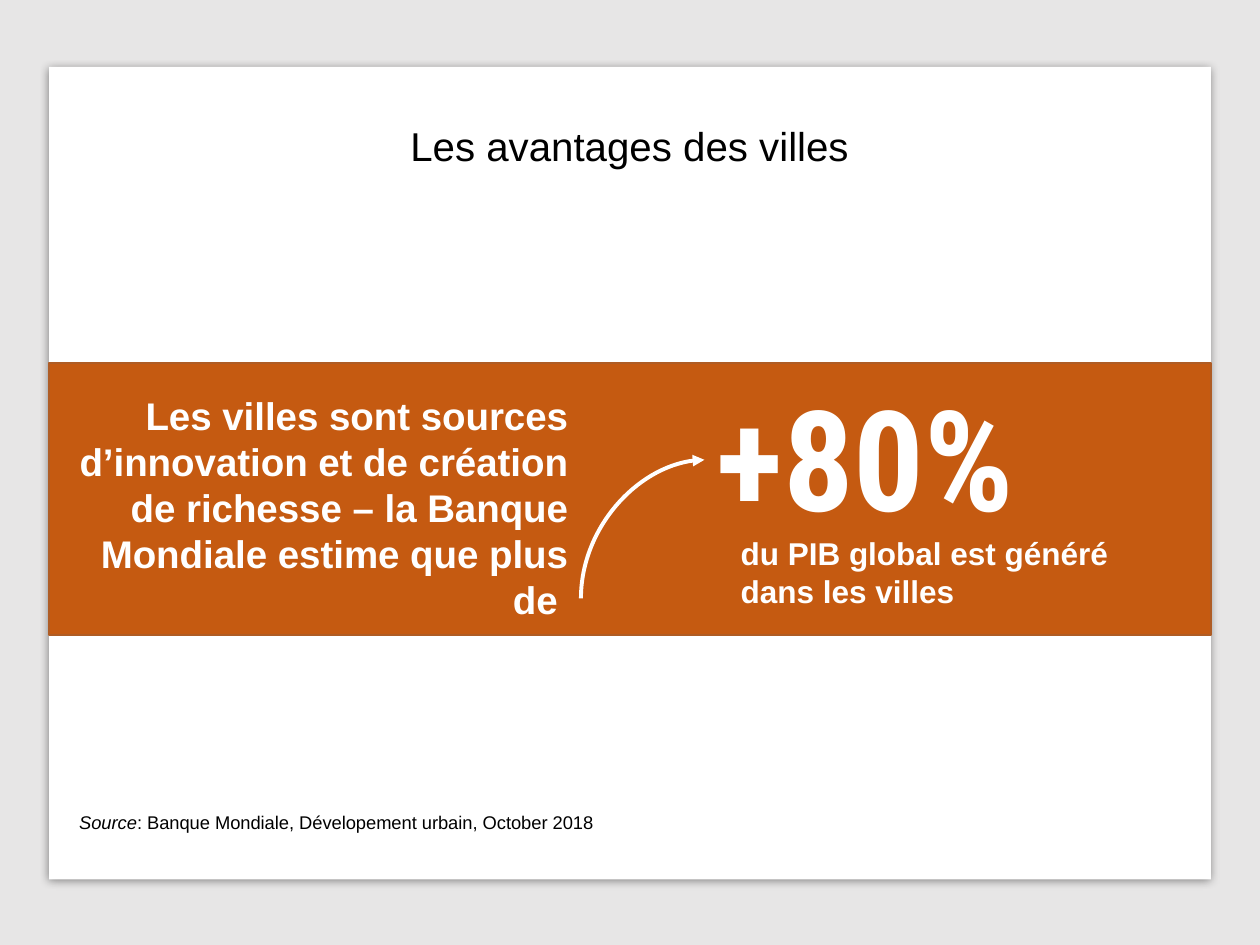
import pptx
import pptx.util
import pptx.dml.color
import pptx.enum.shapes
import pptx.enum.text
import pptx.oxml
import pptx.oxml.ns
from pptx.util import Inches, Pt

PP = pptx.enum.text.PP_ALIGN
NS = pptx.oxml.ns.nsdecls("a")
WHITE, BLACK = "FFFFFF", "000000"

PANELS = {
    "backdrop": ((0, 0, 10, 7.5), "E7E6E6", None),
    "page": ((0.39, 0.53, 9.22, 6.45), WHITE, None),
    "band": ((0.39, 2.88, 9.22, 2.16), "C55A11", "AF5C24"),
}
TEXTS = [
    ((3.02, 0.91, 3.96, 0.49), ["Les avantages des villes"], 23, "Arial", BLACK, False, PP.CENTER, False),
    ((0.28, 3.06, 4.33, 1.95),
     ["Les villes sont sources d’innovation et de création de richesse – la Banque Mondiale estime que plus de "],
     22, "Arial", WHITE, True, PP.RIGHT, True),
    ((5.59, 2.9, 3.39, 1.45), ["+80%"], 80, "Roboto Condensed", WHITE, True, PP.LEFT, True),
    ((5.78, 4.19, 3.39, 0.71), ["du PIB global est généré dans les villes"], 18, "Arial", WHITE, True, PP.LEFT, True),
    ((0.53, 6.39, 6.77, 0.29), ["Source", ": Banque Mondiale, Dévelopement urbain, October 2018"],
     10.5, "Arial", BLACK, False, PP.LEFT, True),
]
ARROW = (5.65, 4.69, 4.55, 3.71)
SHADOW = (
    f'<a:effectLst {NS}><a:outerShdw blurRad="{Pt(5)}" dist="{Pt(1.4)}" dir="5400000" algn="t" rotWithShape="0">'
    '<a:srgbClr val="000000"><a:alpha val="43000"/></a:srgbClr></a:outerShdw></a:effectLst>'
)


def rgb(value):
    return pptx.dml.color.RGBColor.from_string(value)


def add_panel(s, box, fill, line):
    sp = s.shapes.add_shape(pptx.enum.shapes.MSO_SHAPE.RECTANGLE, *map(Inches, box))
    sp.shadow.inherit = False
    sp.fill.solid()
    sp.fill.fore_color.rgb = rgb(fill)
    if line:
        sp.line.color.rgb = rgb(line)
        sp.line.width = Pt(1)
    else:
        sp.line.fill.background()
    return sp


def add_text(s, box, parts, size, font, color, bold, align, wrap):
    tf = s.shapes.add_textbox(*map(Inches, box)).text_frame
    tf.word_wrap = wrap
    tf.auto_size = pptx.enum.text.MSO_AUTO_SIZE.SHAPE_TO_FIT_TEXT
    p = tf.paragraphs[0]
    p.alignment = align
    p.font.size, p.font.name, p.font.bold = Pt(size), font, bold
    p.font.color.rgb = rgb(color)
    for part in parts:
        r = p.add_run()
        r.text = part
        if part == "Source":
            r.font.italic = True


def add_arrow(s, ends):
    cn = s.shapes.add_connector(pptx.enum.shapes.MSO_CONNECTOR.CURVE, *map(Inches, ends))
    cn.line.color.rgb = rgb(WHITE)
    cn.line.width = Pt(2.25)
    sp_pr = cn._element.spPr
    sp_pr.find(pptx.oxml.ns.qn("a:xfrm")).set("rot", "5400000")
    sp_pr.find(pptx.oxml.ns.qn("a:prstGeom")).set("prst", "curvedConnector2")
    cn.line._get_or_add_ln().append(pptx.oxml.parse_xml(f'<a:tailEnd {NS} type="triangle"/>'))
    sp_pr.append(pptx.oxml.parse_xml(f"<a:effectLst {NS}/>"))


def main():
    prs = pptx.Presentation()
    prs.slide_width, prs.slide_height = Inches(10), Inches(7.5)
    s = prs.slides.add_slide(prs.slide_layouts[6])
    panels = {name: add_panel(s, *panel) for name, panel in PANELS.items()}
    sp_pr = panels["page"]._element.spPr
    sp_pr.replace(sp_pr.find(pptx.oxml.ns.qn("a:effectLst")), pptx.oxml.parse_xml(SHADOW))
    for text in TEXTS:
        add_text(s, *text)
    add_arrow(s, ARROW)
    prs.save("out.pptx")


if __name__ == "__main__":
    main()
